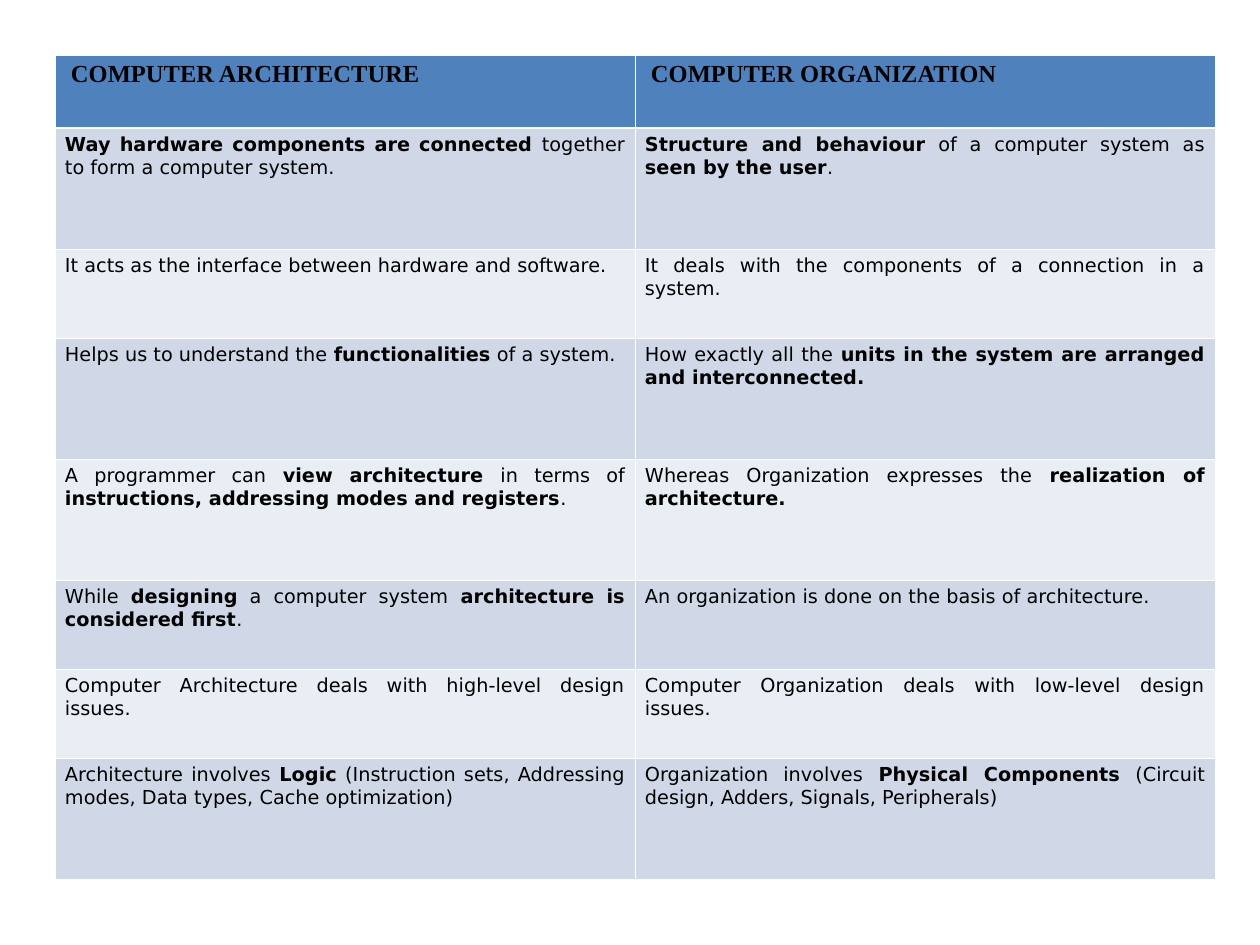
import pptx
import pptx.dml.color
import pptx.enum.text
import pptx.oxml.ns
import pptx.util
from lxml import etree

HEADERS = ["COMPUTER ARCHITECTURE", "COMPUTER ORGANIZATION"]
ROWS = [
    (121, "**Way hardware components are connected **together to form a computer system.",
     "**Structure and behaviour** of a computer system as **seen by the user**."),
    (89, "It acts as the interface between hardware and software.",
     "It deals with the components of a connection in a system."),
    (121, "Helps us to understand the **functionalities** of a system.",
     "How exactly all the **units in the system are arranged and interconnected.**"),
    (121, "A programmer can **view architecture **in terms of "
     "**instructions, addressing modes and registers**.",
     "Whereas Organization expresses the **realization of architecture.**"),
    (89, "While **designing** a computer system **architecture is considered first**.",
     "An organization is done on the basis of architecture."),
    (89, "Computer Architecture deals with high-level design issues.",
     "Computer Organization deals with low-level design issues."),
    (121, "Architecture involves **Logic** (Instruction sets, Addressing modes, "
     "Data types, Cache optimization)",
     "Organization involves **Physical Components** (Circuit design, Adders, "
     "Signals, Peripherals)"),
]


def px(n):
    return pptx.util.Emu(round(n * 914400 / 126))


def rgb(value):
    return pptx.dml.color.RGBColor.from_string(value)


def write(tf, text, font="DejaVu Sans", size=11, color="000000", bold=False):
    p = tf.paragraphs[0]
    p.alignment = pptx.enum.text.PP_ALIGN.JUSTIFY
    for i, part in enumerate(text.split("**")):
        if part:
            r = p.add_run()
            r.text = part
            r.font.name = font
            r.font.size = pptx.util.Pt(size)
            r.font.bold = bold or i % 2 == 1
            r.font.color.rgb = rgb(color)


class Deck:
    header_fill = "4F81BD"
    bands = ["D0D8E8", "E9EDF4"]
    line = "FFFFFF"
    thin, thick = 0.45, 1.47

    def __init__(self, width, height):
        self.prs = pptx.Presentation()
        self.prs.slide_width = px(width)
        self.prs.slide_height = px(height)
        self.s = self.prs.slides.add_slide(self.prs.slide_layouts[6])

    def border(self, cell, side, width):
        qn = pptx.oxml.ns.qn
        tc_pr = cell._tc.get_or_add_tcPr()
        ln = etree.SubElement(tc_pr, qn(f"a:ln{side}"), w=str(pptx.util.Pt(width)))
        fill = etree.SubElement(ln, qn("a:solidFill"))
        etree.SubElement(fill, qn("a:srgbClr"), val=self.line)

    def cell(self, cell, text, fill, inset, top, bottom, **style):
        cell.margin_left = cell.margin_right = px(inset)
        cell.margin_top = cell.margin_bottom = px(6)
        for side, width in zip("LRTB", (self.thin, self.thin, top, bottom)):
            self.border(cell, side, width)
        cell.fill.solid()
        cell.fill.fore_color.rgb = rgb(fill)
        write(cell.text_frame, text, **style)

    def table(self, left, top, col_width, header_height, headers, rows):
        heights = [header_height] + [row[0] for row in rows]
        frame = self.s.shapes.add_table(len(heights), len(headers), px(left), px(top),
                                        px(col_width * len(headers)), px(sum(heights)))
        table = frame.table
        for row, height in zip(table.rows, heights):
            row.height = px(height)
        for c, header in enumerate(headers):
            table.columns[c].width = px(col_width)
            self.cell(table.cell(0, c), header, self.header_fill, 16, self.thin, self.thick,
                      font="Times New Roman", size=14, bold=True)
        for r, (_, *texts) in enumerate(rows):
            upper = self.thin if r else self.thick
            for c, text in enumerate(texts):
                self.cell(table.cell(r + 1, c), text, self.bands[r % 2], 10, upper, self.thin)


def main():
    deck = Deck(1260, 945)
    deck.table(55, 55, 580, 73, HEADERS, ROWS)
    deck.prs.save("out.pptx")


if __name__ == "__main__":
    main()
